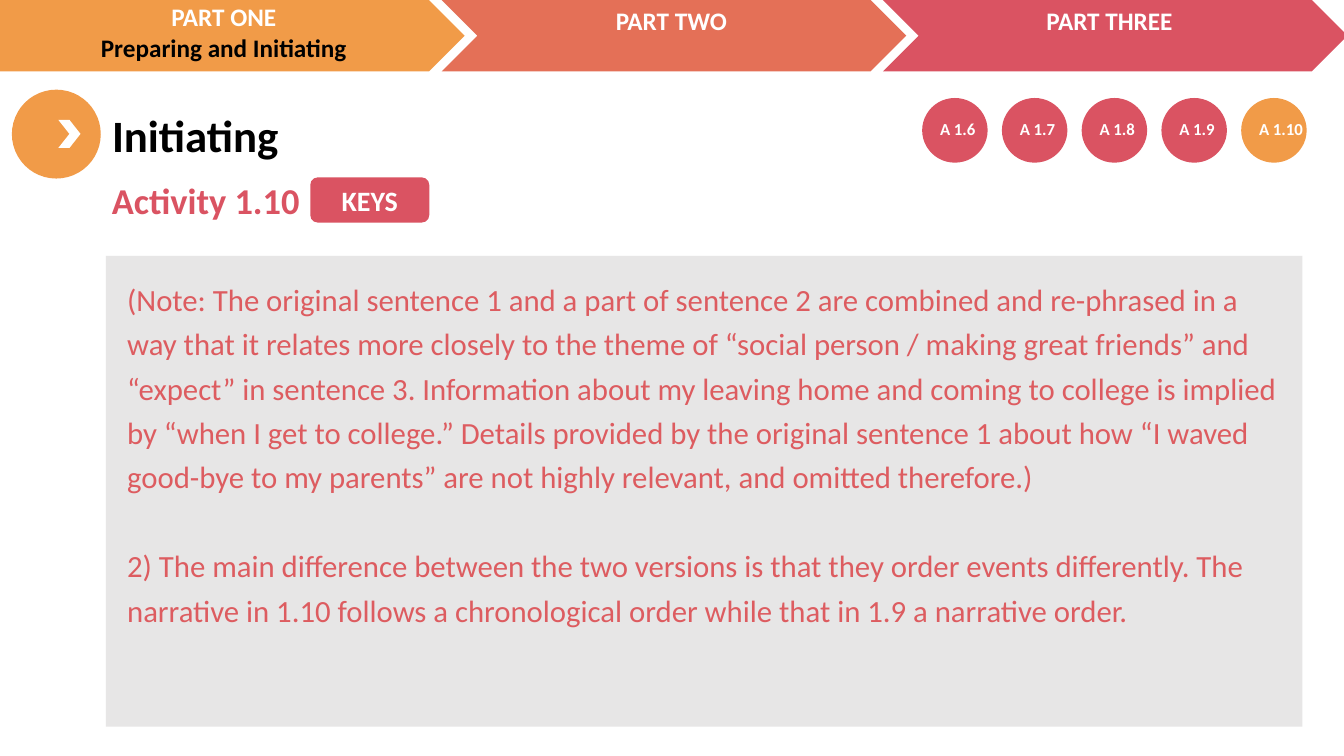
import pptx
import pptx.dml.color
import pptx.enum.shapes
import pptx.enum.text
import pptx.util
from lxml import etree

Cm = pptx.util.Cm
Pt = pptx.util.Pt
RGBColor = pptx.dml.color.RGBColor
SHAPE = pptx.enum.shapes.MSO_SHAPE
ALIGN = pptx.enum.text.PP_ALIGN
ANCHOR = pptx.enum.text.MSO_ANCHOR

ORANGE = RGBColor(0xF1, 0x9B, 0x48)
CORAL = RGBColor(0xE4, 0x70, 0x57)
CRIMSON = RGBColor(0xDA, 0x53, 0x62)
BODY_RED = RGBColor(0xDD, 0x5C, 0x60)
GREY = RGBColor(0xE7, 0xE6, 0xE6)
WHITE = RGBColor(0xFF, 0xFF, 0xFF)
BLACK = RGBColor(0, 0, 0)

NOTE = (
    "(Note: The original sentence 1 and a part of sentence 2 are combined and "
    "re-phrased in a way that it relates more closely to the theme of “social "
    "person / making great friends” and “expect” in sentence 3. Information about "
    "my leaving home and coming to college is implied by “when I get to college.” "
    "Details provided by the original sentence 1 about how “I waved good-bye to my "
    "parents” are not highly relevant, and omitted therefore.)"
)
DIFFERENCE = (
    "2) The main difference between the two versions is that they order events "
    "differently. The narrative in 1.10 follows a chronological order while that "
    "in 1.9 a narrative order."
)


class LessonPage:
    font = "Calibri"

    def __init__(self, deck):
        self.page = deck.slides.add_slide(deck.slide_layouts[1])

    def shape(self, kind, left, top, width, height, fill):
        shape = self.page.shapes.add_shape(
            kind, Cm(left), Cm(top), Cm(width), Cm(height))
        shape.shadow.inherit = False
        shape.fill.solid()
        shape.fill.fore_color.rgb = fill
        shape.line.fill.background()
        return shape

    def set_text(self, shape, lines, size, color, bold=True, align=ALIGN.LEFT,
                 anchor=ANCHOR.TOP):
        frame = shape.text_frame
        frame.word_wrap = True
        frame.auto_size = pptx.enum.text.MSO_AUTO_SIZE.NONE
        frame.vertical_anchor = anchor
        frame.text = "\n".join(lines)
        for para in frame.paragraphs:
            para.alignment = align
            for span in para.runs:
                span.font.name = self.font
                span.font.size = Pt(size)
                span.font.bold = bold
                span.font.color.rgb = color
        return frame

    def label(self, left, top, width, height, lines, size, color, **style):
        box = self.page.shapes.add_textbox(Cm(left), Cm(top), Cm(width), Cm(height))
        return self.set_text(box, lines, size, color, **style)

    def place(self, holder, left, top, width, height):
        holder.left, holder.top = Cm(left), Cm(top)
        holder.width, holder.height = Cm(width), Cm(height)
        return holder

    def title(self, left, top, width, height, text):
        holder = self.place(self.page.shapes.title, left, top, width, height)
        self.set_text(holder, [text], 32, BLACK)

    def body(self, left, top, width, height, lines):
        """Fill the body placeholder with unbulleted paragraphs."""
        holder = self.place(self.page.placeholders[1], left, top, width, height)
        frame = self.set_text(holder, lines, 22, BODY_RED, bold=False)
        for index, para in enumerate(frame.paragraphs):
            para.line_spacing = 1.2
            para.space_before = Pt(32 if index else 0)
            properties = para._p.get_or_add_pPr()
            properties.set("marL", "0")
            properties.set("indent", "0")
            etree.SubElement(properties, pptx.oxml.ns.qn("a:buNone"))

    def bring_to_front(self, shape):
        self.page.shapes._spTree.append(shape._element)


def main():
    deck = pptx.Presentation()
    deck.slide_width, deck.slide_height = Cm(33.87), Cm(19.05)
    lesson = LessonPage(deck)

    # Part banner: the first chevron starts beyond the left edge
    for left, width, fill in ((11.13, 11.71, CORAL), (22.25, 11.71, CRIMSON),
                              (-1.55, 13.26, ORANGE)):
        lesson.shape(SHAPE.CHEVRON, left, 0, width, 1.8, fill)
    parts = (
        (-0.15, -0.08, ["PART ONE", "Preparing and Initiating"]),
        (11.13, 0, ["PART TWO"]),
        (22.17, 0, ["PART THREE"]),
    )
    for left, top, lines in parts:
        frame = lesson.label(left, top, 11.58, 1.8, lines, 18, WHITE,
                             align=ALIGN.CENTER)
        for para in frame.paragraphs[1:]:
            para.runs[0].font.color.rgb = BLACK

    # Heading
    lesson.shape(SHAPE.OVAL, 0.3, 2.26, 2.24, 2.24, ORANGE)
    lesson.shape(SHAPE.CHEVRON, 1.47, 3.02, 0.56, 0.71, WHITE)
    lesson.title(2.57, 2.59, 12.32, 1.63, "Initiating")
    lesson.label(2.57, 4.37, 30.25, 1.37, ["Activity 1.10"], 26, CRIMSON)
    keys = lesson.shape(SHAPE.ROUNDED_RECTANGLE, 7.82, 4.47, 3, 1.14, CRIMSON)
    lesson.set_text(keys, ["KEYS"], 20, WHITE, align=ALIGN.CENTER,
                    anchor=ANCHOR.MIDDLE)

    # Activity markers, the current one in orange
    for index, number in enumerate(range(6, 11)):
        left = 23.24 + 2.01 * index
        fill = ORANGE if number == 10 else CRIMSON
        lesson.shape(SHAPE.OVAL, left, 2.47, 1.65, 1.63, fill)
        lesson.label(left + 0.2, 2.86, 2, 0.76, [f"A 1.{number}"], 12, WHITE)

    # Answer panel
    lesson.shape(SHAPE.RECTANGLE, 2.67, 6.45, 30.15, 11.86, GREY)
    lesson.body(2.95, 6.76, 29.59, 9.27, [NOTE, DIFFERENCE])
    lesson.bring_to_front(lesson.page.placeholders[1])

    deck.save("out.pptx")


if __name__ == "__main__":
    main()
